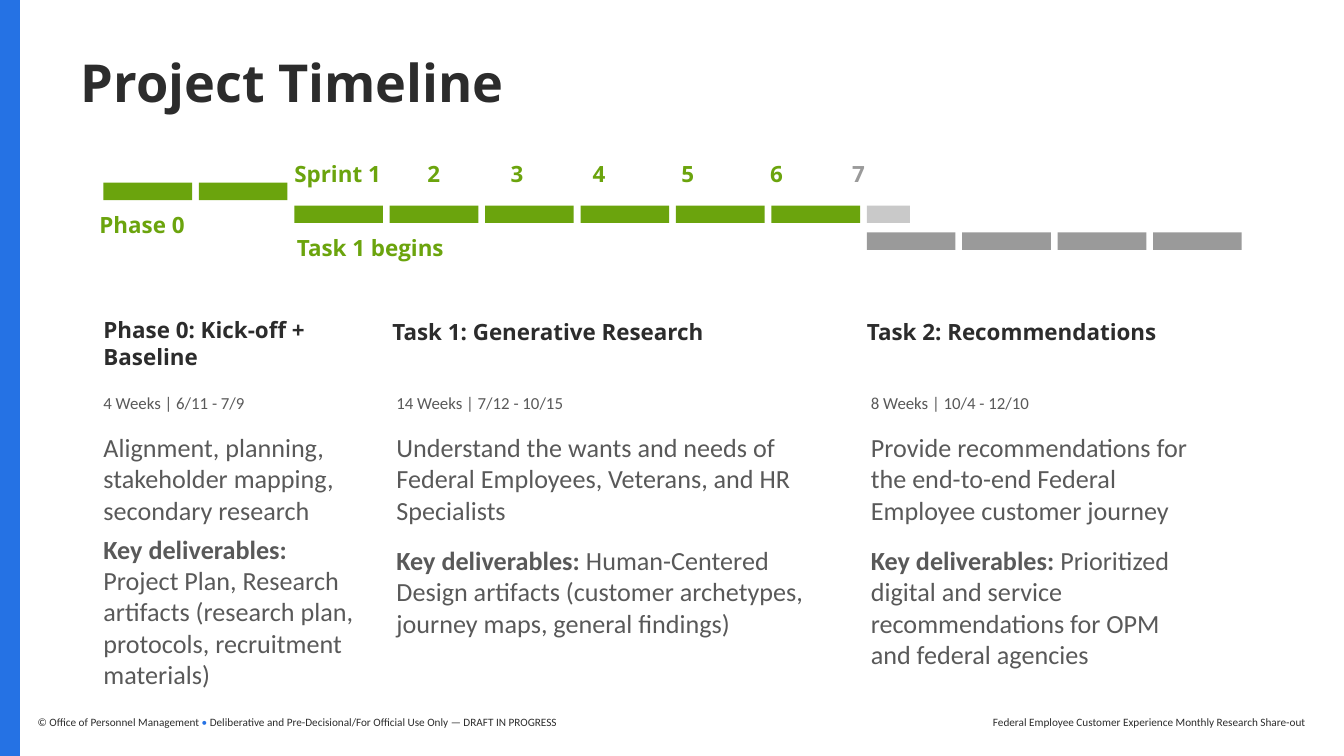
from lxml import etree
from pptx import Presentation
from pptx.dml.color import RGBColor
from pptx.enum.shapes import MSO_SHAPE
from pptx.enum.text import MSO_ANCHOR, PP_ALIGN
from pptx.oxml.ns import qn
from pptx.util import Inches, Pt

RECTANGLE = MSO_SHAPE.RECTANGLE
TOP, MIDDLE, BOTTOM = MSO_ANCHOR.TOP, MSO_ANCHOR.MIDDLE, MSO_ANCHOR.BOTTOM
LEFT, RIGHT = PP_ALIGN.LEFT, PP_ALIGN.RIGHT

BLUE = RGBColor(0x25, 0x72, 0xE4)
WHITE = RGBColor(0xFF, 0xFF, 0xFF)
INK = RGBColor(0x2C, 0x2C, 0x2C)
BODY_GRAY = RGBColor(0x59, 0x59, 0x59)
GREEN = RGBColor(0x6B, 0xA4, 0x0D)
GRAY = RGBColor(0x9A, 0x9A, 0x9A)
LIGHT_GRAY = RGBColor(0xC9, 0xC9, 0xC9)

WIDTH = 10
HEIGHT = WIDTH * 9 / 16
GRID_LEFT, STEP, BAR_WIDTH, BAR_HEIGHT = 0.77, 0.71, 0.66, 0.13

TITLE = {"size": Pt(28), "name": "Open Sans", "bold": True, "color": INK}
HEADING = TITLE | {"size": Pt(12)}
LABEL = HEADING | {"color": GREEN}
DATES = {"size": Pt(9), "name": "Calibri", "bold": False, "color": BODY_GRAY}
BODY = DATES | {"size": Pt(14)}
STRONG = BODY | {"bold": True}
FOOTER = DATES | {"size": Pt(6), "color": INK}

deck = Presentation()
deck.slide_width, deck.slide_height = Inches(WIDTH), Inches(HEIGHT)
page = deck.slides.add_slide(deck.slide_layouts[5])
page.background.fill.solid()
page.background.fill.fore_color.rgb = BLUE


def add_bar(left, top, width, height, color):
    bar = page.shapes.add_shape(RECTANGLE, *map(Inches, (left, top, width, height)))
    bar.shadow.inherit = False
    bar.fill.solid()
    bar.fill.fore_color.rgb = color
    bar.line.fill.background()
    return bar


def write(box, area, paragraphs, anchor=TOP, insets=(0, 0.1), align=LEFT):
    box.left, box.top, box.width, box.height = map(Inches, area)
    frame = box.text_frame
    settings = {"word_wrap": True, "vertical_anchor": anchor,
                "margin_left": 0, "margin_right": 0,
                "margin_top": Inches(insets[0]), "margin_bottom": Inches(insets[1])}
    for key, value in settings.items():
        setattr(frame, key, value)
    for index, (space, spans) in enumerate(paragraphs):
        para = frame.add_paragraph() if index else frame.paragraphs[0]
        para.alignment = align
        para.space_before = Pt(space)
        for text, style in spans:
            span = para.add_run()
            span.text = text
            for key, value in style.items():
                if key == "color":
                    span.font.color.rgb = value
                else:
                    setattr(span.font, key, value)
    return frame


panel = add_bar(0.15, 0, WIDTH - 0.15, HEIGHT, WHITE)
panel.element.getparent().insert(2, panel.element)

write(page.shapes.title, (0.6, 0.37, 8.5, 0.51), [(0, [("Project Timeline", TITLE)])])

footers = [
    (0.28, 4.5, LEFT, [
        ("© Office of Personnel Management ", FOOTER),
        ("•", FOOTER | {"color": BLUE}),
        (" Deliberative and Pre-Decisional/For Official Use Only — DRAFT IN PROGRESS", FOOTER)]),
    (5.84, 3.87, RIGHT, [
        ("Federal Employee Customer Experience Monthly Research Share-out", FOOTER)]),
]
for left, width, align, spans in footers:
    box = page.shapes.add_textbox(0, 0, 0, 0)
    write(box, (left, 5.23, width, 0.28), [(0, spans)], MIDDLE, (0.1, 0.1), align)

timeline = [(0, 2, 1.36, GREEN), (2, 6, 1.53, GREEN), (8, 4, 1.73, GRAY)]
for first, count, top, color in timeline:
    for column in range(first, first + count):
        add_bar(GRID_LEFT + column * STEP, top, BAR_WIDTH, BAR_HEIGHT, color)
add_bar(GRID_LEFT + 8 * STEP, 1.53, 0.32, BAR_HEIGHT, LIGHT_GRAY)

sprint_box = page.shapes.add_textbox(0, 0, 0, 0)
sprints = [("Sprint 1\t2\t3\t4\t5\t6", LABEL), ("\t7", LABEL | {"color": GRAY})]
sprint_frame = write(sprint_box, (2.19, 1.13, 4.71, 0.31), [(0, sprints)], BOTTOM, (0, 0.05))
tabs = etree.SubElement(sprint_frame.paragraphs[0]._p.get_or_add_pPr(), qn("a:tabLst"))
for stop in (0.99, 1.61, 2.22, 2.88, 3.54, 4.15):
    etree.SubElement(tabs, qn("a:tab"), pos=str(Inches(stop)), algn="l")

labels = [
    ("Phase 0", LABEL, (0.74, 1.51, 1.7, 0.31)),
    ("Task 1 begins", LABEL, (2.21, 1.68, 2.63, 0.31)),
    ("Phase 0: Kick-off + Baseline", HEADING, (0.77, 2.49, 2.1, 0.31)),
    ("Task 1: Generative Research", HEADING, (2.92, 2.31, 2.69, 0.31)),
    ("Task 2: Recommendations", HEADING, (6.45, 2.31, 2.51, 0.31)),
]
for text, style, area in labels:
    box = page.shapes.add_textbox(0, 0, 0, 0)
    write(box, area, [(0, [(text, style)])], BOTTOM, (0, 0.05))

stages = [
    (0.77, 1.93, 4, "4 Weeks | 6/11 - 7/9",
     "Alignment, planning, stakeholder mapping, secondary research",
     " Project Plan, Research artifacts (research plan, protocols, recruitment materials)"),
    (2.95, 3.13, 10, "14 Weeks | 7/12 - 10/15",
     "Understand the wants and needs of Federal Employees, Veterans, and HR Specialists",
     " Human-Centered Design artifacts (customer archetypes, journey maps, general findings)"),
    (6.48, 2.46, 10, "8 Weeks | 10/4 - 12/10",
     "Provide recommendations for the end-to-end Federal Employee customer journey",
     " Prioritized digital and service recommendations for OPM and federal agencies"),
]
for left, width, gap, dates, summary, deliverables in stages:
    box = page.shapes.add_textbox(0, 0, 0, 0)
    write(box, (left, 2.92, width, 0.51), [
        (0, [(dates, DATES)]),
        (10, [(summary, BODY)]),
        (gap, [("Key deliverables:", STRONG), (deliverables, BODY)]),
    ])

deck.save("out.pptx")
